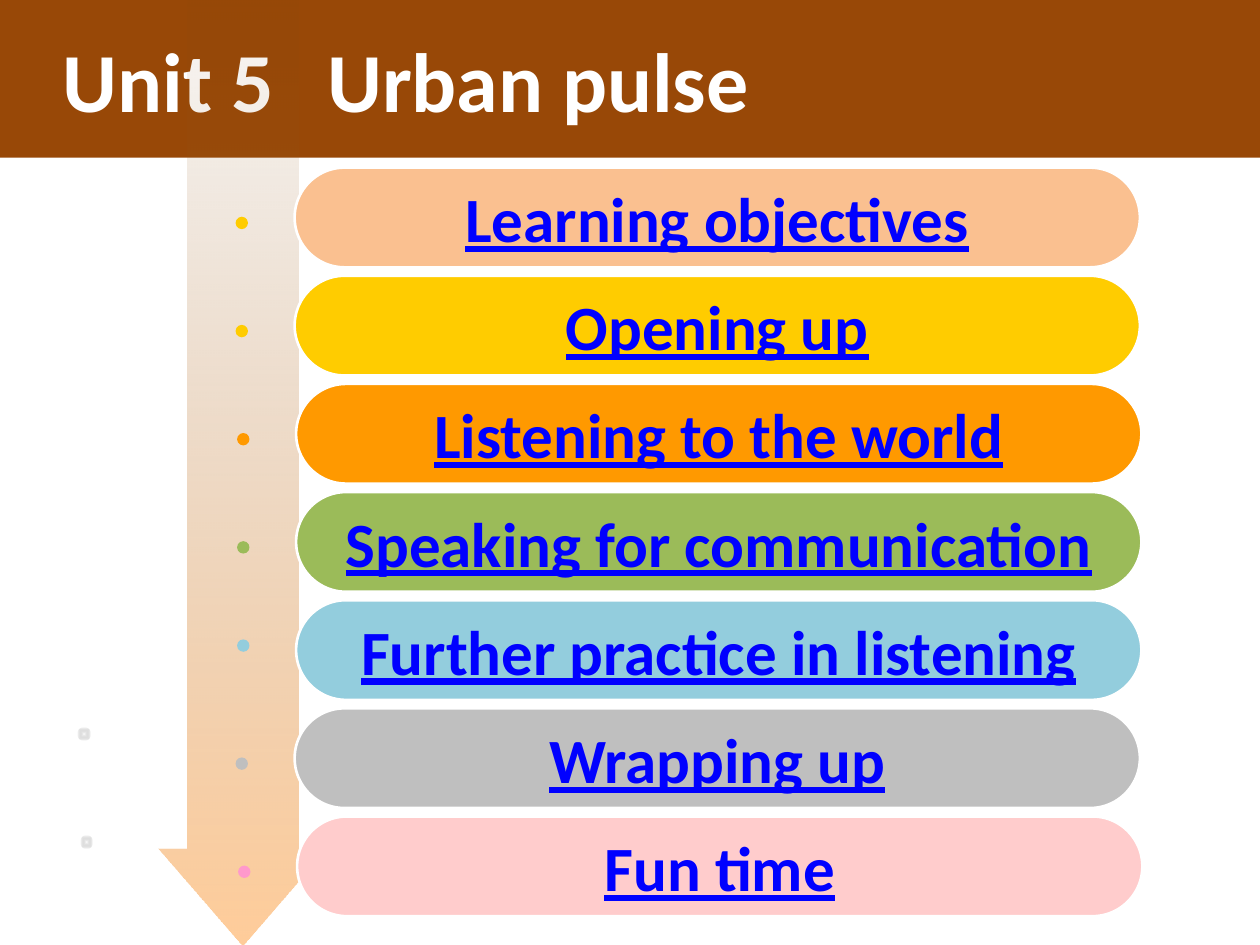
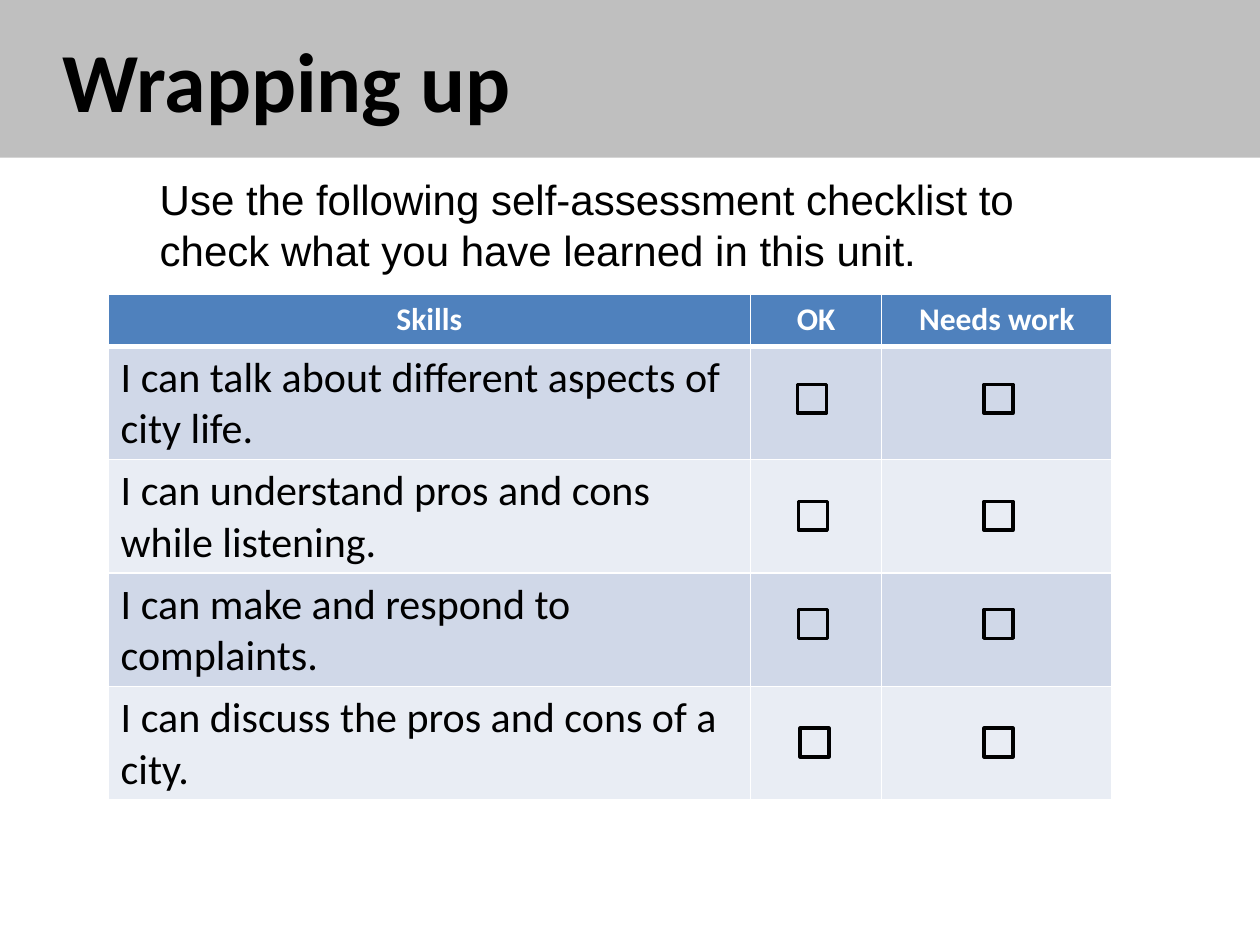
from dataclasses import dataclass

from lxml import etree
from pptx import Presentation
from pptx import util as u
from pptx.dml import color as c
from pptx.enum import shapes, text
from pptx.oxml import ns

HUES = {
    "white": "FFFFFF", "black": "000000", "brown": "984807", "gray": "BFBFBF",
    "link": "0000FF", "peach": "FAC090", "gold": "FFCC00", "orange": "FF9900",
    "green": "9BBB59", "sky": "93CDDD", "rose": "FFCCCC", "pink": "FF99CC",
    "flame": "FF9933", "umber": "764718",
    "head": "4F81BD", "odd": "D0D8E8", "even": "E9EDF4",
}
KIND = shapes.MSO_SHAPE
MID = text.PP_ALIGN.CENTER
SPACE = "http://schemas.openxmlformats.org/drawingml/2006/main"


@dataclass
class Box:
    left: float
    top: float
    width: float
    height: float

    def lengths(self) -> tuple:
        return tuple(u.Cm(n) for n in (self.left, self.top, self.width, self.height))


@dataclass
class Pill:
    label: str
    hue: str
    dot: str
    left: float = 5.94
    lift: float = 0
    ghost: bool = False


@dataclass
class Style:
    size: int
    hue: str = "black"
    bold: bool = True
    line: bool = False
    font: str = "Calibri"


PILLS = [
    Pill("Learning objectives", "peach", "gold"),
    Pill("Opening up", "gold", "gold"),
    Pill("Listening to the world", "orange", "orange", 5.97),
    Pill("Speaking for communication", "green", "green", 5.97),
    Pill("Further practice in listening", "sky", "sky", 5.97, lift=0.2),
    Pill("Wrapping up", "gray", "gray", ghost=True),
    Pill("Fun time", "rose", "pink", 5.99, ghost=True),
]
HEADS = ["Skills", "OK", "Needs work"]
SKILLS = [
    "I can talk about different aspects of city life.",
    "I can understand pros and cons while listening.",
    "I can make and respond to complaints.",
    "I can discuss the pros and cons of a city.",
]
CHECKS = [(16.08, 7.75), (16.1, 10.11), (16.1, 12.29), (16.13, 14.68)]


def rgb(hue: str) -> c.RGBColor:
    return c.RGBColor.from_string(HUES[hue])


def add_run(para, words: str, style: Style) -> None:
    run = para.add_run()
    run.text = words
    font = run.font
    font.name, font.size = style.font, u.Pt(style.size)
    font.bold, font.underline = style.bold, style.line
    font.color.rgb = rgb(style.hue)


def add_shape(slide, kind, box: Box, hue: str = "", edge: str = "", width: float = 1.5):
    shape = slide.shapes.add_shape(kind, *box.lengths())
    shape.shadow.inherit = False
    if hue:
        shape.fill.solid()
        shape.fill.fore_color.rgb = rgb(hue)
    else:
        shape.fill.background()
    if edge:
        shape.line.color.rgb = rgb(edge)
        shape.line.width = u.Pt(width)
    else:
        shape.line.fill.background()
    return shape


def fade(shape, start: str, end: str, course: str) -> None:
    """Blend from half clear to fully clear along the given course."""
    stops = "".join(
        f'<a:gs pos="{pos}"><a:srgbClr val="{HUES[hue]}"><a:alpha val="{alpha}"/></a:srgbClr></a:gs>'
        for pos, hue, alpha in ((0, start, 50000), (100000, end, 0)))
    blend = etree.fromstring(
        f'<a:gradFill xmlns:a="{SPACE}" rotWithShape="1"><a:gsLst>{stops}</a:gsLst>{course}</a:gradFill>')
    props = shape.element.spPr
    props.replace(props.find(ns.qn("a:noFill")), blend)


def add_band(slide, words: str, hue: str, ink: str) -> None:
    band = add_shape(slide, KIND.RECTANGLE, Box(0, 0, 25.4, 3.18), hue)
    frame = band.text_frame
    frame.word_wrap = True
    frame.vertical_anchor = text.MSO_ANCHOR.MIDDLE
    para = frame.paragraphs[0]
    para.alignment = text.PP_ALIGN.LEFT
    props = para._p.get_or_add_pPr()
    props.set("indent", str(u.Cm(1.02)))
    tabs = etree.SubElement(props, ns.qn("a:tabLst"))
    etree.SubElement(tabs, ns.qn("a:tab"), pos=str(u.Cm(7.19)), algn="l")
    add_run(para, words, Style(48, ink))


def add_pill(slide, pill: Pill, top: float) -> None:
    dot = Box(pill.left - 1.19, top + 0.99 - pill.lift, 0.25, 0.25)
    add_shape(slide, KIND.OVAL, dot, pill.dot)
    if pill.ghost:
        ghost = add_shape(slide, KIND.OVAL, Box(pill.left - 4.37, top + 0.39, 0.25, 0.25))
        fade(ghost, "white", "black",
             '<a:path path="shape"><a:fillToRect l="50000" t="50000" r="50000" b="50000"/></a:path>')
    shape = add_shape(slide, KIND.ROUNDED_RECTANGLE, Box(pill.left, top, 17.04, 2.01),
                      pill.hue, "white")
    shape.adjustments[0] = 0.5
    frame = shape.text_frame
    frame.word_wrap = False
    frame.vertical_anchor = text.MSO_ANCHOR.MIDDLE
    frame.paragraphs[0].alignment = MID
    add_run(frame.paragraphs[0], pill.label, Style(36, "link", line=True))


def rule_cell(cell, hue: str, base: float) -> None:
    """Fill a cell and draw its white rules, the lower one as thick as base."""
    cell.fill.solid()
    cell.fill.fore_color.rgb = rgb(hue)
    for spot, (side, width) in enumerate((("L", 1), ("R", 1), ("T", 1), ("B", base))):
        line = etree.fromstring(
            f'<a:ln{side} xmlns:a="{SPACE}" w="{u.Pt(width)}"><a:solidFill>'
            f'<a:srgbClr val="{HUES["white"]}"/></a:solidFill></a:ln{side}>')
        cell._tc.get_or_add_tcPr().insert(spot, line)


def add_skills(slide) -> None:
    box = Box(2.18, 5.94, 20.24, 10.16)
    table = slide.shapes.add_table(len(SKILLS) + 1, len(HEADS), *box.lengths()).table
    for col, width in zip(table.columns, (12.95, 2.64, 4.65)):
        col.width = u.Cm(width)
    for row, line in enumerate(table.rows):
        line.height = u.Cm(2.28 if row else 1.04)
        hue = ("even", "odd")[row % 2] if row else "head"
        for cell in line.cells:
            rule_cell(cell, hue, 1 if row else 3)
    for col, words in enumerate(HEADS):
        para = table.cell(0, col).text_frame.paragraphs[0]
        para.alignment = MID
        add_run(para, words, Style(18, "white"))
    for row, words in enumerate(SKILLS, 1):
        add_run(table.cell(row, 0).text_frame.paragraphs[0], words, Style(24, bold=False))


def build_menu(slide) -> None:
    add_band(slide, "Unit 5\tUrban pulse", "brown", "white")
    arrow = add_shape(slide, KIND.UP_ARROW, Box(3.2, -1.98, 3.38, 21.03))
    arrow.rotation = 180
    arrow.adjustments[0], arrow.adjustments[1] = 0.66, 0.58
    fade(arrow, "flame", "umber", '<a:lin ang="5400000" scaled="1"/>')
    for spot, pill in enumerate(PILLS):
        add_pill(slide, pill, 3.38 + 2.18 * spot)


def build_check(slide) -> None:
    add_band(slide, "Wrapping up", "gray", "black")
    frame = slide.shapes.add_textbox(*Box(2.97, 3.38, 19.25, 2.31).lengths()).text_frame
    frame.word_wrap = True
    add_run(frame.paragraphs[0],
            "Use the following self-assessment checklist to check what you have learned in this unit.",
            Style(24, bold=False, font="Arial"))
    add_skills(slide)
    for left, top in CHECKS:
        for side in (left, 19.84):
            add_shape(slide, KIND.RECTANGLE, Box(side, top, 0.58, 0.58), edge="black", width=2)


def main() -> None:
    deck = Presentation()
    deck.slide_width, deck.slide_height = u.Cm(25.4), u.Cm(19.05)
    for build in (build_menu, build_check):
        build(deck.slides.add_slide(deck.slide_layouts[6]))
    deck.save("out.pptx")


if __name__ == "__main__":
    main()
